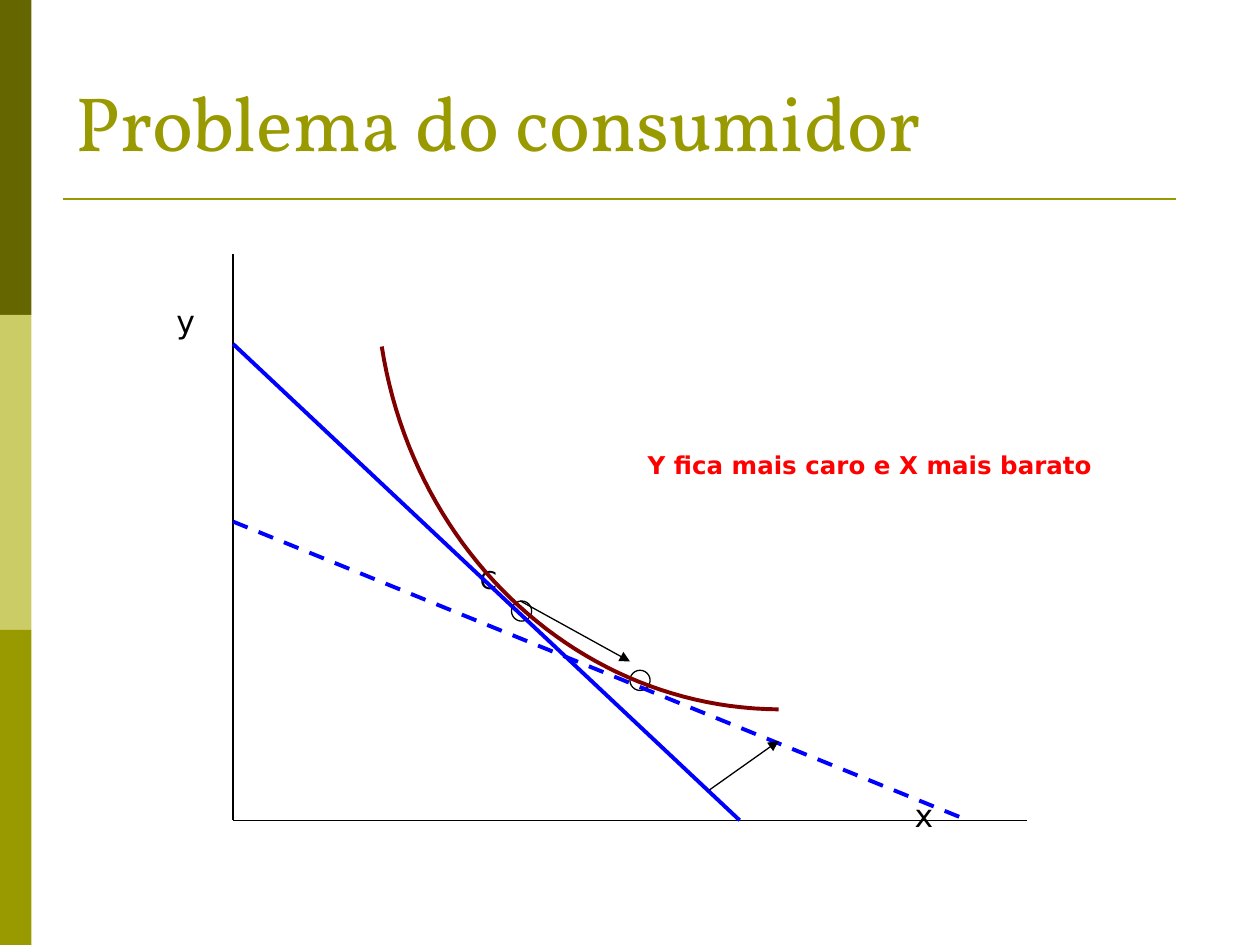
"""Build the consumer problem slide: budget lines, indifference curve and price change."""
import pptx
import pptx.dml.color
import pptx.enum.dml
import pptx.enum.shapes
import pptx.enum.text
import pptx.oxml
import pptx.oxml.ns
import pptx.util

THEME = {
    "dark": "666600", "light": "CCCC66", "olive": "999900", "ink": "000000",
    "budget": "0000FF", "curve": "800000", "accent": "FF0000",
    "title_font": "Vollkorn", "body_font": "DejaVu Sans",
    "title_size": 44, "label_size": 18, "note_size": 14,
    "thin": 0.75, "rule": 1.5, "thick": 2.25,
}
COLUMNS, ROWS = 40, 30
SHAPES = pptx.enum.shapes.MSO_SHAPE
ANCHORS = pptx.enum.text.MSO_ANCHOR

deck = pptx.Presentation()
deck.slide_width, deck.slide_height = pptx.util.Inches(10), pptx.util.Inches(7.5)
page = deck.slides.add_slide(deck.slide_layouts[6])


def cells(*values):
    """Turn alternating column and row positions into lengths."""
    units = (deck.slide_width / COLUMNS, deck.slide_height / ROWS)
    return [round(value * units[index % 2]) for index, value in enumerate(values)]


def paint(target, color):
    """Give a fill, line fill or font fill one solid theme color."""
    target.solid()
    target.fore_color.rgb = pptx.dml.color.RGBColor.from_string(THEME[color])


for index, color in enumerate(("dark", "light", "olive")):
    band = page.shapes.add_shape(SHAPES.RECTANGLE, *cells(0, index * ROWS / 3, 1, ROWS / 3))
    band.shadow.inherit = False
    paint(band.fill, color)
    band.line.fill.background()

labels = [
    ("Problema do consumidor", (2, 0.5, 36, 5), "title", "olive", False, ANCHORS.BOTTOM, 0.4),
    ("y", (5.6, 9.6, 1.2, 1.2), "label", "ink", False, ANCHORS.MIDDLE, 0),
    ("Y fica mais caro e X mais barato", (20.56, 14.16, 16, 1.2), "note", "accent", True, ANCHORS.MIDDLE, 0),
    ("C", (15.24, 17.8, 1.2, 1.2), "note", "ink", False, ANCHORS.MIDDLE, 0),
    ("x", (29.04, 25.28, 1.2, 1.2), "label", "ink", False, ANCHORS.MIDDLE, 0),
]
for words, place, role, color, bold, anchor, inset in labels:
    box = page.shapes.add_textbox(*cells(*place))
    side, edge = cells(inset, inset / 2)
    frame_format = {
        "word_wrap": True, "vertical_anchor": anchor,
        "margin_left": side, "margin_right": side, "margin_top": edge, "margin_bottom": edge,
    }
    for name, value in frame_format.items():
        setattr(box.text_frame, name, value)
    span = box.text_frame.paragraphs[0].add_run()
    span.text = words
    font_format = {
        "name": THEME["title_font" if role == "title" else "body_font"],
        "size": pptx.util.Pt(THEME[role + "_size"]), "bold": bold,
    }
    for name, value in font_format.items():
        setattr(span.font, name, value)
    paint(span.font.fill, color)

for column, row in ((16.24, 19.08), (20, 21.28)):
    choice = page.shapes.add_shape(SHAPES.OVAL, *cells(column, row, 0.64, 0.64))
    choice.shadow.inherit = False
    choice.fill.background()
    paint(choice.line.fill, "ink")
    choice.line.width = pptx.util.Pt(THEME["thin"])

left, floor = 7.4, 26.04
lines = [
    ((2, 6.32, 37.32, 6.32), "olive", "rule", None),
    ((left, floor, 32.6, floor), "ink", "thin", None),
    ((left, floor, left, 8.08), "ink", "thin", None),
    ((left, 10.92, 23.48, floor), "budget", "thick", None),
    ((left, 16.56, 30.72, floor), "budget", "thick", "dash"),
    ((22.52, 25.08, 24.72, 23.52), "ink", "thin", "arrow"),
    ((16.52, 19.08, 20, 21), "ink", "thin", "arrow"),
]
for ends, color, weight, style in lines:
    stroke = page.shapes.add_connector(pptx.enum.shapes.MSO_CONNECTOR.STRAIGHT, *cells(*ends))
    paint(stroke.line.fill, color)
    stroke.line.width = pptx.util.Pt(THEME[weight])
    if style == "dash":
        stroke.line.dash_style = pptx.enum.dml.MSO_LINE.DASH
    if style == "arrow":
        head = pptx.oxml.parse_xml(f'<a:tailEnd {pptx.oxml.ns.nsdecls("a")} type="triangle"/>')
        stroke.line.fill._xPr.append(head)
    stroke._element.spPr.append(pptx.oxml.parse_xml(f'<a:effectLst {pptx.oxml.ns.nsdecls("a")}/>'))

controls = [(24.72, 22.52), (18.48, 22.48), (13.16, 17.64), (12.12, 11)]
steps = 48
points = []
for step in range(steps + 1):
    share = step / steps
    rest = 1 - share
    weights = (rest**3, 3 * rest**2 * share, 3 * rest * share**2, share**3)
    column, row = (sum(w * point[axis] for w, point in zip(weights, controls)) for axis in (0, 1))
    points.append(cells(column, row))
builder = page.shapes.build_freeform(*points[0])
builder.add_line_segments(points[1:], close=False)
indifference = builder.convert_to_shape()
indifference.shadow.inherit = False
indifference.fill.background()
paint(indifference.line.fill, "curve")
indifference.line.width = pptx.util.Pt(THEME["thick"])

deck.save("out.pptx")
